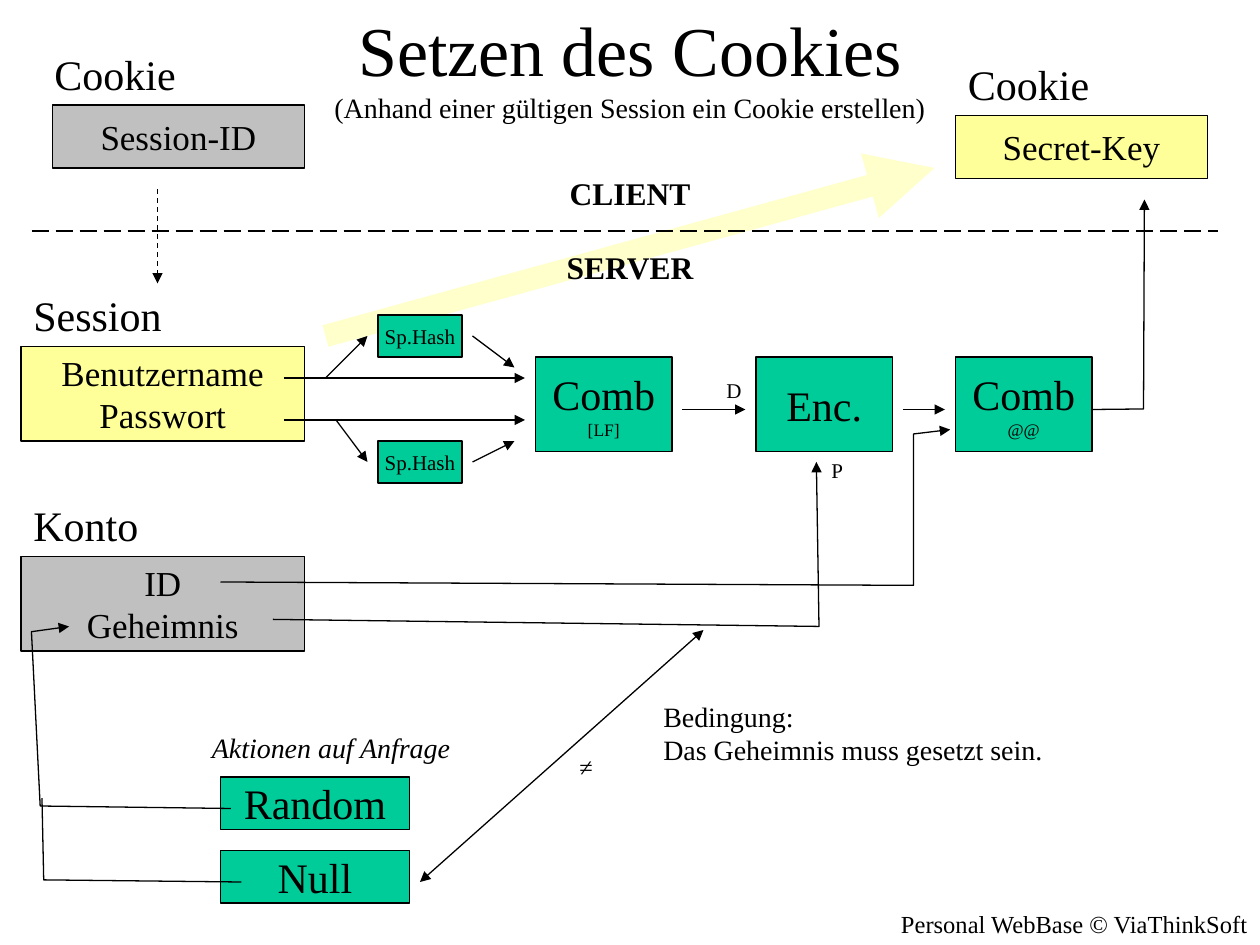
from typing import NamedTuple

import lxml.etree
import pptx
import pptx.dml.color
import pptx.enum.dml
import pptx.enum.shapes
import pptx.enum.text
import pptx.oxml.ns
import pptx.util

Pt = pptx.util.Pt
qn = pptx.oxml.ns.qn
ALIGN = pptx.enum.text.PP_ALIGN
ANCHOR = pptx.enum.text.MSO_ANCHOR
DASH = pptx.enum.dml.MSO_LINE

FONT = "Times New Roman"
HEX = {
    "ink": "000000",
    "gray": "C0C0C0",
    "yellow": "FFFF99",
    "pale": "FFFFCC",
    "green": "00CC99",
}


class Line(NamedTuple):
    text: str
    size: float


class Box(NamedTuple):
    left: float
    top: float
    width: float
    height: float
    fill: str
    lines: list[Line]


class Label(NamedTuple):
    left: float
    top: float
    width: float
    height: float
    lines: list[Line]
    align: ALIGN = ALIGN.LEFT
    bold: bool = False
    italic: bool = False


class Link(NamedTuple):
    start: tuple[float, float]
    end: tuple[float, float]
    color: str = "ink"
    width: float = 0.75
    dash: DASH | None = None
    ends: tuple[str, ...] = ("tailEnd",)


class Route(NamedTuple):
    points: list[tuple[float, float]]
    ends: tuple[str, ...] = ("tailEnd",)


def rgb(name: str) -> pptx.dml.color.RGBColor:
    return pptx.dml.color.RGBColor.from_string(HEX[name])


def write(frame, lines: list[Line], align: ALIGN, bold=False, italic=False) -> None:
    for index, line in enumerate(lines):
        para = frame.paragraphs[0] if index == 0 else frame.add_paragraph()
        para.text = line.text
        para.alignment = align
        font = para.font
        font.name, font.size = FONT, Pt(line.size)
        font.bold, font.italic = bold, italic
        font.color.rgb = rgb("ink")


def stroke(shape, color="ink", width=0.75, dash=None, ends=()) -> None:
    shape.line.color.rgb = rgb(color)
    shape.line.width = Pt(width)
    if dash is not None:
        shape.line.dash_style = dash
    outline = shape.element.spPr.find(qn("a:ln"))
    for end in ends:
        lxml.etree.SubElement(outline, qn(f"a:{end}"), type="triangle")


def draw_box(slide, box: Box) -> None:
    shape = slide.shapes.add_shape(
        pptx.enum.shapes.MSO_SHAPE.RECTANGLE,
        Pt(box.left), Pt(box.top), Pt(box.width), Pt(box.height))
    shape.shadow.inherit = False
    shape.fill.solid()
    shape.fill.fore_color.rgb = rgb(box.fill)
    stroke(shape)
    frame = shape.text_frame
    frame.word_wrap = False
    frame.vertical_anchor = ANCHOR.MIDDLE
    write(frame, box.lines, ALIGN.CENTER)


def draw_label(slide, label: Label) -> None:
    shape = slide.shapes.add_textbox(
        Pt(label.left), Pt(label.top), Pt(label.width), Pt(label.height))
    shape.text_frame.word_wrap = True
    write(shape.text_frame, label.lines, label.align, label.bold, label.italic)


def draw_link(slide, link: Link) -> None:
    shape = slide.shapes.add_connector(
        pptx.enum.shapes.MSO_CONNECTOR.STRAIGHT,
        *map(Pt, link.start), *map(Pt, link.end))
    stroke(shape, link.color, link.width, link.dash, link.ends)
    lxml.etree.SubElement(shape.element.spPr, qn("a:effectLst"))


def draw_route(slide, route: Route) -> None:
    points = [(Pt(x), Pt(y)) for x, y in route.points]
    builder = slide.shapes.build_freeform(*points[0])
    builder.add_line_segments(points[1:], close=False)
    shape = builder.convert_to_shape()
    shape.shadow.inherit = False
    shape.fill.background()
    stroke(shape, ends=route.ends)


def draw_title(slide) -> None:
    title = slide.shapes.title
    title.left, title.top = Pt(180), Pt(0)
    title.width, title.height = Pt(360), Pt(75)
    frame = title.text_frame
    frame.word_wrap = True
    frame.auto_size = pptx.enum.text.MSO_AUTO_SIZE.NONE
    frame.vertical_anchor = ANCHOR.TOP
    write(frame, [
        Line("Setzen des Cookies", 40),
        Line("(Anhand einer gültigen Session ein Cookie erstellen)", 16),
    ], ALIGN.CENTER)


BOXES = [
    # Stored data
    Box(30, 60, 144, 36, "gray", [Line("Session-ID", 20)]),
    Box(546, 66, 144, 36, "yellow", [Line("Secret-Key", 20)]),
    Box(12, 198, 162, 54, "yellow", [Line("Benutzername", 20), Line("Passwort", 20)]),
    Box(12, 318, 162, 54, "gray", [Line("ID", 20), Line("Geheimnis", 20)]),
    # Processing steps
    *[Box(216, top, 48, 24, "green", [Line("Sp.Hash", 12)]) for top in (180, 252)],
    Box(306, 204, 78, 54, "green", [Line("Comb", 24), Line("[LF]", 10)]),
    Box(432, 204, 78, 54, "green", [Line("Enc.", 24)]),
    Box(546, 204, 78, 54, "green", [Line("Comb", 24), Line("@@", 10)]),
    # Actions
    Box(126, 444, 108, 30, "green", [Line("Random", 24)]),
    Box(126, 486, 108, 30, "green", [Line("Null", 24)]),
]

LABELS = [
    # Headings of the stored data
    *[Label(left, top, 114, 36, [Line(text, 24)]) for left, top, text in (
        (24, 24, "Cookie"), (546, 30, "Cookie"),
        (12, 162, "Session"), (12, 282, "Konto"))],
    # Zones
    *[Label(294, top, 132, 29, [Line(text, 18)], ALIGN.CENTER, bold=True)
      for top, text in ((96, "CLIENT"), (138, "SERVER"))],
    # Marks on the arrows
    Label(408, 212.4, 24, 21.6, [Line("D", 12)]),
    Label(468, 258, 24, 21.6, [Line("P", 12)]),
    Label(324, 426, 24, 24.5, [Line("≠", 14)]),
    # Remarks and footer
    Label(114, 414, 342, 26.6, [Line("Aktionen auf Anfrage", 16)], italic=True),
    Label(372, 396, 282, 46, [
        Line("Bedingung:", 16), Line("Das Geheimnis muss gesetzt sein.", 16)]),
    Label(336, 516, 384, 24.5,
          [Line("Personal WebBase © ViaThinkSoft", 14)], ALIGN.RIGHT),
]

LINKS = [
    # Client and server border, session lookup
    Link((18, 132), (696, 132), width=1.25, dash=DASH.LONG_DASH, ends=()),
    Link((90, 108), (90, 162), dash=DASH.DASH),
    # User name and password, with their hashes
    *[Link((162, y), (300, y)) for y in (216, 240)],
    Link((186, 216), (210, 192)),
    Link((192, 240), (210, 264)),
    Link((270, 192), (294, 210)),
    Link((270, 264), (294, 252)),
    # Between the steps
    Link((390, 234), (426, 234)),
    Link((516, 234), (540, 234)),
    # Secret must differ from null
    Link((240, 504), (402, 360), ends=("headEnd", "tailEnd")),
]

ROUTES = [
    Route([(156, 354), (468, 358), (466.5, 264)]),
    Route([(126, 332.6), (522, 334.5), (522, 248), (543, 245.5)]),
    Route([(624, 234), (653.5, 233.7), (654, 114)]),
    Route([(132, 462), (23, 460.6), (18, 361), (39.5, 358)]),
    Route([(24, 456), (25, 502.8), (138, 504)], ends=()),
]


def main() -> None:
    deck = pptx.Presentation()
    deck.slide_width, deck.slide_height = Pt(720), Pt(540)
    slide = deck.slides.add_slide(deck.slide_layouts[5])

    # Broad arrow behind everything else
    draw_link(slide, Link((186, 192), (534, 96), "pale", 12.75))
    draw_title(slide)
    for draw, items in ((draw_box, BOXES), (draw_link, LINKS),
                        (draw_route, ROUTES), (draw_label, LABELS)):
        for item in items:
            draw(slide, item)
    deck.save("out.pptx")


if __name__ == "__main__":
    main()
